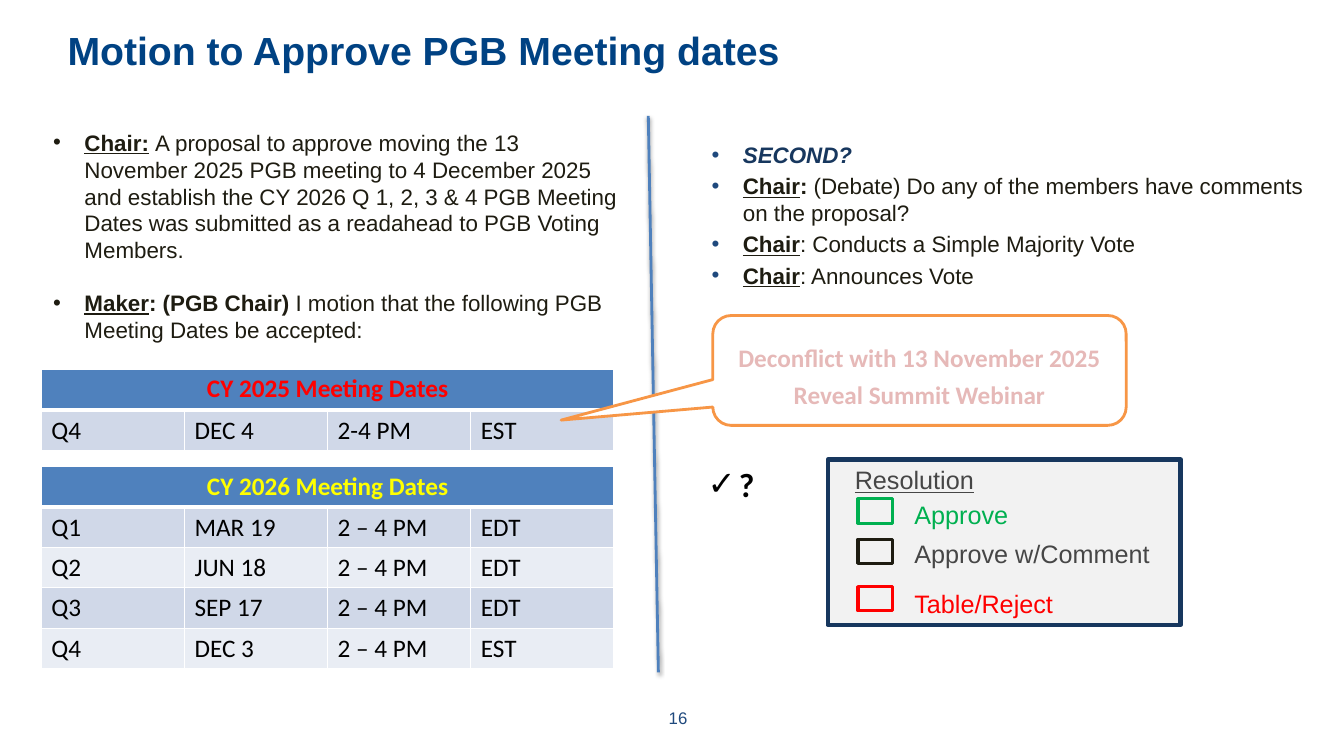
from lxml.etree import SubElement
from pptx import Presentation
from pptx.dml.color import RGBColor
from pptx.enum.shapes import MSO_CONNECTOR, MSO_SHAPE
from pptx.enum.text import MSO_ANCHOR, PP_ALIGN
from pptx.oxml.ns import qn
from pptx.util import Inches, Pt

COLORS = {
    "title": "004283", "navy": "17375E", "ink": "1E1C11", "page": "1F497D",
    "blue": "4F81BD", "band": "D0D8E8", "light_band": "E9EDF4", "white": "FFFFFF",
    "black": "000000", "yellow": "FFFF00", "red": "FF0000", "green": "00B050",
    "gray": "464646", "panel": "F2F2F2", "orange": "F79646", "pink": "E6B9B8",
}

# Run styles: font attributes, with colour as a key of COLORS
BODY = {"size": 16, "name": "Arial", "color": "ink"}
BOLD = {**BODY, "bold": True}
LABEL = {**BOLD, "underline": True}
SECOND = {**BOLD, "italic": True, "color": "navy"}
TITLE = {"size": 28, "name": "Arial", "bold": True, "color": "title"}
PAGE = {"size": 12, "name": "Arial", "color": "page"}
OPTION = {"size": 18, "name": "Arial", "color": "gray"}
CELL = {"size": 18, "name": "Calibri", "color": "black"}
CALLOUT = {**CELL, "bold": True, "color": "pink"}
CHECK = {**CELL, "bold": True, "size": 24}

# Paragraphs: (runs, space before in points, bullet colour)
PROPOSAL = [
    ([("Chair:", LABEL), (" ", BOLD),
      ("A proposal to approve moving the 13 November 2025 PGB meeting to 4 December 2025 "
       "and establish the CY 2026 Q 1, 2, 3 & 4 PGB Meeting Dates was submitted as a "
       "readahead to PGB Voting Members.", BODY)], 0, "ink"),
    ([("Maker", LABEL), (": (PGB Chair) ", BOLD),
      ("I motion that the following PGB Meeting Dates be accepted:", BODY)], 18.4, "ink"),
]
VOTE = [
    ([("SECOND?", SECOND)], 0, "page"),
    ([("Chair", LABEL), (": ", BOLD),
      ("(Debate) Do any of the members have comments on the proposal?", BODY)], 3.2, "page"),
    ([("Chair", LABEL), (": Conducts a Simple Majority Vote", BODY)], 3.2, "page"),
    ([("Chair", LABEL), (": Announces Vote", BODY)], 3.2, "page"),
]
# Schedules: (heading, heading colour, top, header height, meetings)
SCHEDULES = [
    ("CY 2026 Meeting Dates", "yellow", 4.63, 0.4, [
        ("Q1", "MAR 19", "2 – 4 PM", "EDT"),
        ("Q2", "JUN 18", "2 – 4 PM", "EDT"),
        ("Q3", "SEP 17", "2 – 4 PM", "EDT"),
        ("Q4", "DEC 3", "2 – 4 PM", "EST"),
    ]),
    ("CY 2025 Meeting Dates", "red", 3.66, 0.41, [("Q4", "DEC 4", "2-4 PM", "EST")]),
]
# Resolution options: (text, text colour, box colour, box top, text top)
OPTIONS = [
    ("Approve", "green", "green", 4.95, 4.9),
    ("Approve w/Comment", "gray", "ink", 5.35, 5.29),
    ("Table/Reject", "red", "red", 5.82, 5.79),
]
TABLE_LEFT, COLUMN_WIDTH, ROW_HEIGHT = 0.41, 1.42, 0.4
HANGING = Inches(0.31)


def rgb(key):
    return RGBColor.from_string(COLORS[key])


def add_run(paragraph, text, style):
    run = paragraph.add_run()
    run.text = text
    for attribute, value in style.items():
        if attribute == "color":
            run.font.color.rgb = rgb(value)
        else:
            setattr(run.font, attribute, Pt(value) if attribute == "size" else value)


def add_bullet(paragraph, char, color):
    properties = paragraph._p.get_or_add_pPr()
    properties.set("marL", str(HANGING))
    properties.set("indent", str(-HANGING))
    bullet_color = SubElement(properties, qn("a:buClr"))
    SubElement(bullet_color, qn("a:srgbClr"), val=COLORS[color])
    SubElement(properties, qn("a:buFont"), typeface="Arial")
    SubElement(properties, qn("a:buChar"), char=char)


def add_box(slide, area, margin=None):
    frame = slide.shapes.add_textbox(*map(Inches, area)).text_frame
    frame.word_wrap = True
    if margin is not None:
        for side in ("left", "top", "right", "bottom"):
            setattr(frame, f"margin_{side}", Inches(margin))
    return frame


def add_label(slide, area, text, style, margin=None):
    paragraph = add_box(slide, area, margin).paragraphs[0]
    add_run(paragraph, text, style)
    return paragraph


def add_bullets(slide, area, items, char="•"):
    frame = add_box(slide, area)
    for index, (runs, space, color) in enumerate(items):
        paragraph = frame.add_paragraph() if index else frame.paragraphs[0]
        paragraph.space_before = Pt(space)
        for text, style in runs:
            add_run(paragraph, text, style)
        add_bullet(paragraph, char, color)


def add_outlined(slide, kind, area, line, width, fill=None):
    shape = slide.shapes.add_shape(kind, *map(Inches, area))
    shape.shadow.inherit = False
    shape.line.color.rgb = rgb(line)
    shape.line.width = Pt(width)
    if fill:
        shape.fill.solid()
        shape.fill.fore_color.rgb = rgb(fill)
    else:
        shape.fill.background()
    return shape


def style_cell(cell, fill, bottom=1):
    """Fill a cell and give it white borders, the lower one as wide as asked."""
    properties = cell._tc.get_or_add_tcPr()
    for side, width in (("L", 1), ("R", 1), ("T", 1), ("B", bottom)):
        border = SubElement(properties, qn(f"a:ln{side}"), w=str(Pt(width)))
        paint = SubElement(border, qn("a:solidFill"))
        SubElement(paint, qn("a:srgbClr"), val=COLORS["white"])
    cell.fill.solid()
    cell.fill.fore_color.rgb = rgb(fill)


def add_schedule(slide, heading, heading_color, top, header_height, meetings):
    columns = len(meetings[0])
    height = header_height + ROW_HEIGHT * len(meetings)
    area = (TABLE_LEFT, top, COLUMN_WIDTH * columns, height)
    table = slide.shapes.add_table(len(meetings) + 1, columns, *map(Inches, area)).table
    for row in table.rows:
        row.height = Inches(ROW_HEIGHT)
    table.rows[0].height = Inches(header_height)
    for column in range(columns):
        style_cell(table.cell(0, column), "blue", bottom=3)
    header = table.cell(0, 0)
    header.merge(table.cell(0, columns - 1))
    title = header.text_frame.paragraphs[0]
    title.alignment = PP_ALIGN.CENTER
    add_run(title, heading, {**CELL, "bold": True, "color": heading_color})
    for row, meeting in enumerate(meetings, 1):
        for column, text in enumerate(meeting):
            cell = table.cell(row, column)
            style_cell(cell, "band" if row % 2 else "light_band")
            add_run(cell.text_frame.paragraphs[0], text, {**CELL, "bold": False})


def add_divider(slide):
    ends = map(Inches, (6.43, 1.15, 6.53, 6.67))
    divider = slide.shapes.add_connector(MSO_CONNECTOR.STRAIGHT, *ends)
    divider.line.color.rgb = rgb("blue")
    divider.line.width = Pt(2)
    effects = SubElement(divider._element.spPr, qn("a:effectLst"))
    shadow = SubElement(effects, qn("a:outerShdw"), blurRad=str(Pt(3.1)),
                        dist=str(Pt(1.6)), dir="5400000", rotWithShape="0")
    shade = SubElement(shadow, qn("a:srgbClr"), val=COLORS["black"])
    SubElement(shade, qn("a:alpha"), val="38000")


def add_resolution(slide):
    add_outlined(slide, MSO_SHAPE.RECTANGLE, (8.21, 4.56, 3.5, 1.64), "navy", 3, "panel")
    add_label(slide, (8.38, 4.56, 1.43, 0.33), "Resolution", {**OPTION, "underline": True})
    for text, color, box_color, box_top, text_top in OPTIONS:
        add_outlined(slide, MSO_SHAPE.RECTANGLE, (8.51, box_top, 0.34, 0.24), box_color, 2.25)
        add_label(slide, (8.97, text_top, 2.59, 0.33), text, {**OPTION, "color": color})


def add_callout(slide):
    callout = add_outlined(slide, MSO_SHAPE.ROUNDED_RECTANGULAR_CALLOUT,
                           (7.07, 3.13, 4.1, 1.09), "orange", 2, "white")
    for index, value in enumerate((-0.867, 0.452, 0.167)):
        callout.adjustments[index] = value
    frame = callout.text_frame
    frame.word_wrap = True
    frame.margin_top = Inches(0.1)
    frame.vertical_anchor = MSO_ANCHOR.MIDDLE
    paragraph = frame.paragraphs[0]
    paragraph.alignment = PP_ALIGN.CENTER
    paragraph.line_spacing = 1.2
    add_run(paragraph, "Deconflict with 13 November 2025 Reveal Summit Webinar", CALLOUT)


def main():
    deck = Presentation()
    deck.slide_width, deck.slide_height = Inches(13.33), Inches(7.5)
    slide = deck.slides.add_slide(deck.slide_layouts[6])
    add_label(slide, (0.67, 0.26, 12, 1.18), "Motion to Approve PGB Meeting dates", TITLE, 0)
    page = add_label(slide, (5.17, 6.97, 3.11, 0.4), "16", PAGE)
    page.alignment = PP_ALIGN.CENTER
    add_bullets(slide, (0.43, 1.23, 5.83, 2.26), PROPOSAL)
    add_divider(slide)
    add_bullets(slide, (6.96, 1.35, 6.09, 1.93), VOTE)
    add_resolution(slide)
    add_bullets(slide, (6.92, 4.55, 0.58, 0.5), [([("?", CHECK)], 0, "black")], "✓")
    for schedule in SCHEDULES:
        add_schedule(slide, *schedule)
    add_callout(slide)
    deck.save("out.pptx")


if __name__ == "__main__":
    main()
